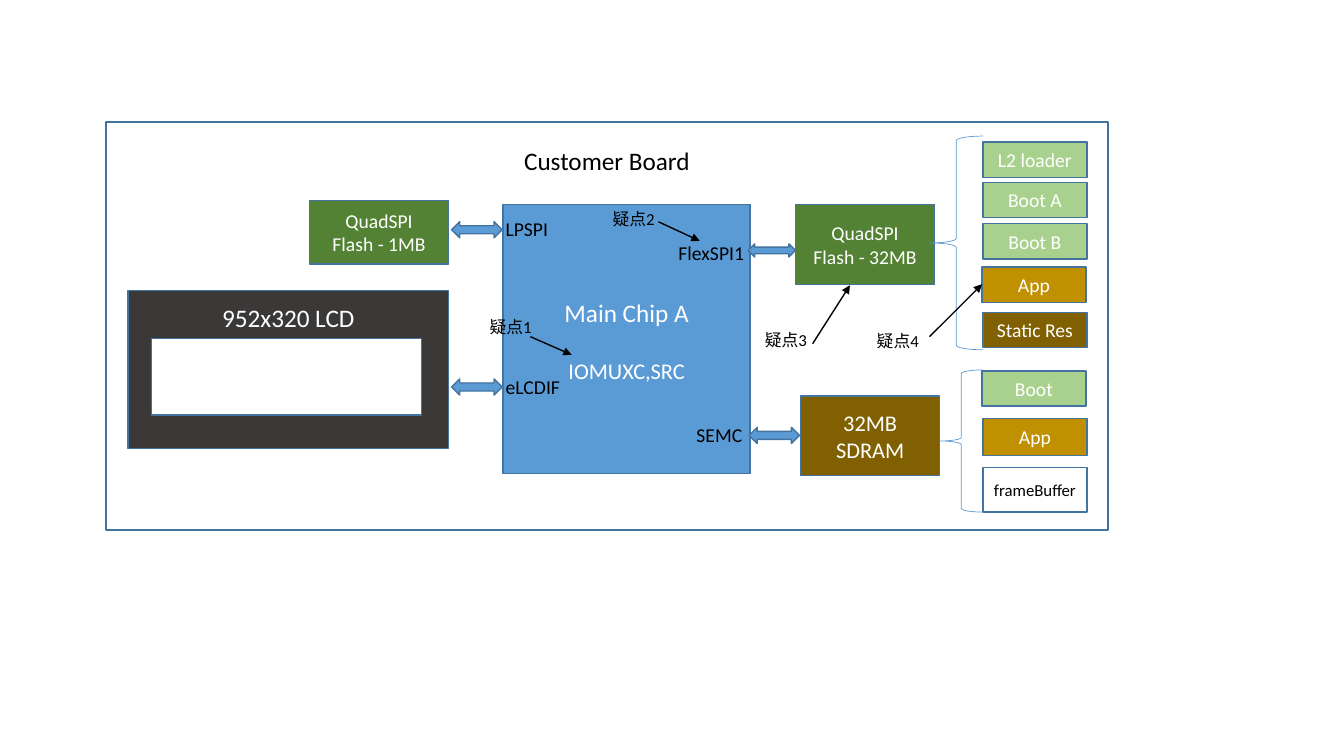
from pptx import Presentation
from pptx.dml.color import RGBColor
from pptx.enum.shapes import MSO_CONNECTOR, MSO_SHAPE as Shape
from pptx.enum.text import MSO_ANCHOR as Anchor, PP_ALIGN as Align
from pptx.oxml.ns import qn
from pptx.util import Inches, Pt
from lxml.etree import SubElement

color = RGBColor.from_string
BLUE, EDGE, WHITE, BLACK = "5B9BD5", "43739E", "FFFFFF", "000000"
GREEN, LIME, GOLD, BROWN, GRAY = "548235", "A9D18E", "BF9000", "806000", "3B3838"

deck = Presentation()
deck.slide_width, deck.slide_height = Inches(13.33), Inches(7.5)
page = deck.slides.add_slide(deck.slide_layouts[6])


def add_block(at, kind=Shape.RECTANGLE, fill=None, line=EDGE, width=1):
    block = page.shapes.add_shape(kind, *map(Inches, at))
    block.shadow.inherit = False
    if fill:
        block.fill.solid()
        block.fill.fore_color.rgb = color(fill)
    else:
        block.fill.background()
    block.line.color.rgb = color(line)
    block.line.width = Pt(width)
    return block


def write(box, text, sizes=(14,), ink=WHITE, top=None, gap=0):
    frame = box.text_frame
    frame.word_wrap = True
    frame.vertical_anchor = Anchor.MIDDLE
    if top is not None:
        frame.vertical_anchor = Anchor.TOP
        frame.margin_top = Inches(top)
    for index, words in enumerate(text.split("\n")):
        para = frame.paragraphs[0] if index == 0 else frame.add_paragraph()
        para.alignment = Align.CENTER
        if index and gap:
            para.space_before = Pt(gap)
        span = para.add_run()
        span.text = words
        span.font.name = "Calibri"
        span.font.size = Pt(sizes[min(index, len(sizes) - 1)])
        span.font.color.rgb = color(ink)


board = add_block((1.05, 1.21, 9.94, 4.05))
write(board, "Customer Board", sizes=(18,), ink=BLACK, top=0.23)

processor = add_block((4.99, 2.03, 2.45, 2.67), fill=BLUE)
write(processor, "Main Chip A\nIOMUXC,SRC", sizes=(18, 16), top=0.92, gap=21)

lcd = add_block((1.27, 2.88, 3.18, 1.57), fill=GRAY)
write(lcd, "952x320 LCD", sizes=(18,), top=0.12)
add_block((1.5, 3.36, 2.68, 0.76), fill=WHITE)

memories = [
    ("QuadSPI\nFlash - 1MB", 3.07, 1.99, 0.63, GREEN, 14),
    ("QuadSPI\nFlash - 32MB", 7.89, 2.03, 0.79, GREEN, 14),
    ("32MB\nSDRAM", 7.94, 3.93, 0.79, BROWN, 16),
]
for text, left, top, height, fill, size in memories:
    write(add_block((left, top, 1.38, height), fill=fill), text, sizes=(size,))

for at in [(7.42, 2.42, 0.47, 0.13), (7.43, 4.24, 0.5, 0.16),
           (4.48, 3.76, 0.5, 0.16), (4.48, 2.2, 0.5, 0.16)]:
    add_block(at, kind=Shape.LEFT_RIGHT_ARROW, fill=BLUE)

for at in [(9.22, 1.35, 0.53, 2.12), (9.32, 3.67, 0.43, 1.41)]:
    add_block(at, kind=Shape.LEFT_BRACE, line=BLUE, width=0.5)

sections = [
    ("L2 loader", 9.75, 1.41, 0.35, LIME),
    ("Boot A", 9.75, 1.81, 0.35, LIME),
    ("Boot B", 9.75, 2.22, 0.35, LIME),
    ("App", 9.74, 2.65, 0.35, GOLD),
    ("Static Res", 9.75, 3.1, 0.35, BROWN),
    ("Boot", 9.74, 3.68, 0.35, LIME),
    ("App", 9.75, 4.15, 0.37, GOLD),
]
for text, left, top, height, fill in sections:
    write(add_block((left, top, 1.03, height), fill=fill), text)
frame_buffer = add_block((9.75, 4.64, 1.03, 0.44), fill=WHITE)
write(frame_buffer, "frameBuffer", sizes=(12,), ink=BLACK)

ports = [("FlexSPI1", 6.52, 2.26), ("SEMC", 6.6, 4.07),
         ("eLCDIF", 4.75, 3.59), ("LPSPI", 4.69, 2.02)]
doubts = [("疑点1", 4.65, 3.07), ("疑点2", 5.87, 2),
          ("疑点3", 7.38, 3.2), ("疑点4", 8.49, 3.21)]
for labels, width, height, size in [(ports, 1.07, 0.49, 14), (doubts, 0.83, 0.35, 12)]:
    for text, left, top in labels:
        label = page.shapes.add_textbox(*map(Inches, (left, top, width, height)))
        write(label, text, sizes=(size,), ink=BLACK)

for ends in [(5.26, 3.34, 5.67, 3.52), (6.53, 2.2, 6.94, 2.39),
             (8.06, 3.41, 8.43, 2.83), (9.22, 3.34, 9.74, 2.82)]:
    pointer = page.shapes.add_connector(MSO_CONNECTOR.STRAIGHT, *map(Inches, ends))
    pointer.line.color.rgb = color(BLACK)
    pointer.line.width = Pt(1)
    SubElement(pointer.line._get_or_add_ln(), qn("a:tailEnd"), type="triangle")
    SubElement(pointer._element.spPr, qn("a:effectLst"))

deck.save("out.pptx")
